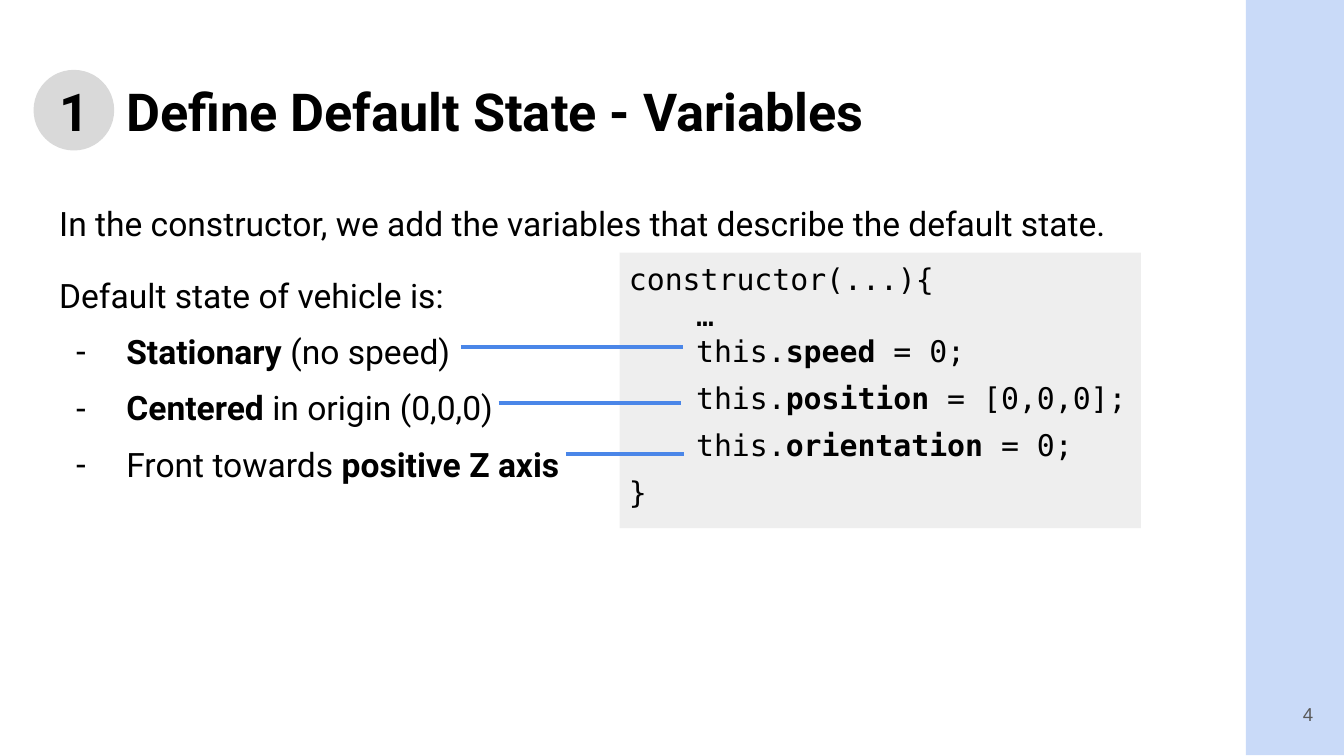
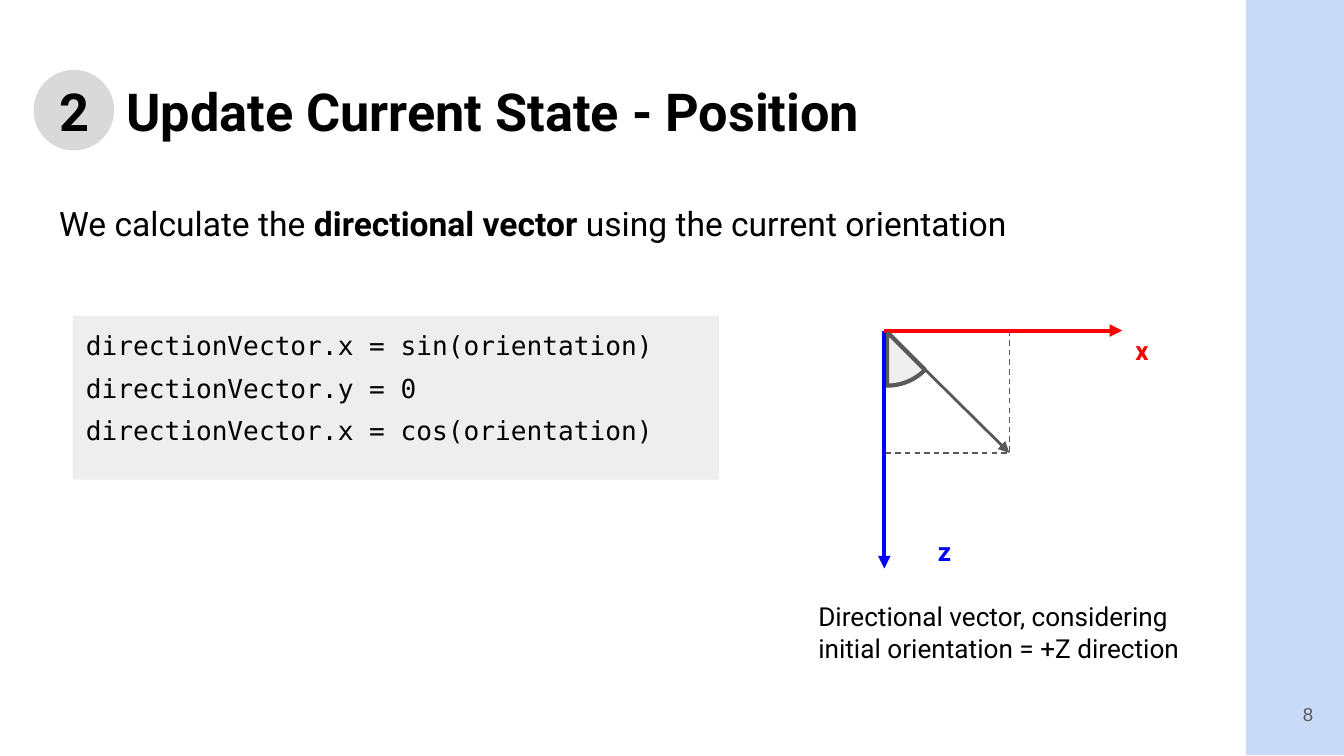
import dataclasses

import lxml.etree
import pptx
import pptx.dml.color
import pptx.enum.dml
import pptx.enum.shapes
import pptx.enum.text
import pptx.oxml
import pptx.oxml.ns
import pptx.util

Inches = pptx.util.Inches
Points = pptx.util.Pt
qualified = pptx.oxml.ns.qn
Shapes = pptx.enum.shapes.MSO_SHAPE
Align = pptx.enum.text.PP_ALIGN
Anchor = pptx.enum.text.MSO_ANCHOR


@dataclasses.dataclass(frozen=True)
class Theme:
    """Colours, fonts and type sizes shared by every slide."""
    black: str = "000000"
    gray: str = "595959"
    badge: str = "D9D9D9"
    panel: str = "EEEEEE"
    band: str = "C9DAF8"
    link: str = "4A86E8"
    x_axis: str = "FF0000"
    z_axis: str = "0000FF"
    text_font: str = "Roboto"
    code_font: str = "DejaVu Sans Mono"
    number_font: str = "Arial"
    title_size: int = 28
    body_size: int = 18
    code_size: int = 16
    small_size: int = 14
    number_size: int = 10


@dataclasses.dataclass(frozen=True)
class Box:
    """A rectangle in inches."""
    left: float
    top: float
    width: float
    height: float

    def lengths(self):
        """Return the four sides as slide lengths."""
        return [Inches(side) for side in dataclasses.astuple(self)]

    def inner(self, left, top, width, height):
        """Return a box placed relative to this one."""
        return Box(self.left + left, self.top + top, width, height)


@dataclasses.dataclass(frozen=True)
class Line:
    """One paragraph, with bold parts between double asterisks."""
    text: str
    before: float = 0
    after: float = 0
    spacing: float = 1.0
    margin: float = 0
    bullet: str = ""
    tab: float = 0


THEME = Theme()
TITLE_BOX = Box(0.34, 0.49, 9.32, 0.63)
BAND_BOX = Box(9.27, -0.02, 0.73, 5.64)


def color(value):
    """Turn a hex string into a colour."""
    return pptx.dml.color.RGBColor.from_string(value)


def apply(target, values):
    """Set each attribute named in a dict."""
    for name, value in values.items():
        setattr(target, name, value)


def font_format(size, name=THEME.text_font, bold=False):
    """Describe a font as a dict of format values."""
    return {"size": Points(size), "name": name, "bold": bold}


def set_indent(paragraph, line):
    """Give a paragraph its indent, bullet and tab stop."""
    properties = paragraph._p.get_or_add_pPr()
    properties.set("marL", str(Inches(line.margin)))
    properties.set("indent", str(Inches(-0.38 if line.bullet else 0)))
    if line.bullet:
        bullet_color = lxml.etree.SubElement(properties, qualified("a:buClr"))
        lxml.etree.SubElement(bullet_color, qualified("a:srgbClr"), val=THEME.black)
        lxml.etree.SubElement(properties, qualified("a:buChar"), char=line.bullet)
    else:
        lxml.etree.SubElement(properties, qualified("a:buNone"))
    if line.tab:
        stops = lxml.etree.SubElement(properties, qualified("a:tabLst"))
        lxml.etree.SubElement(stops, qualified("a:tab"), pos=str(Inches(line.tab)), algn="l")


def fill_text(shape, lines, font, ink=THEME.black, align=Align.LEFT, anchor=Anchor.TOP):
    """Write formatted lines into a shape."""
    frame = shape.text_frame
    apply(frame, {
        "word_wrap": True, "auto_size": pptx.enum.text.MSO_AUTO_SIZE.NONE,
        "vertical_anchor": anchor,
        **{f"margin_{side}": Inches(0.1) for side in ("left", "top", "right", "bottom")},
    })
    for index, line in enumerate(lines):
        paragraph = frame.add_paragraph() if index else frame.paragraphs[0]
        apply(paragraph, {
            "alignment": align, "line_spacing": line.spacing,
            "space_before": Points(line.before), "space_after": Points(line.after),
        })
        set_indent(paragraph, line)
        for part, text in enumerate(line.text.split("**")):
            if text:
                run = paragraph.add_run()
                run.text = text
                apply(run.font, {**font, "bold": font["bold"] or part % 2 == 1})
                run.font.color.rgb = color(ink)


def place_placeholder(slide, index, box, lines, font):
    """Move a placeholder to the front of its box and fill it."""
    placeholder = slide.placeholders[index]
    slide.shapes.element.append(placeholder.element)
    apply(placeholder, dict(zip(("left", "top", "width", "height"), box.lengths())))
    fill_text(placeholder, lines, font)


def add_label(slide, box, lines, font, **options):
    """Add a text box."""
    fill_text(slide.shapes.add_textbox(*box.lengths()), lines, font, **options)


def add_block(shapes, kind, box, fill):
    """Add a plain filled shape without outline."""
    shape = shapes.add_shape(kind, *box.lengths())
    shape.shadow.inherit = False
    shape.fill.solid()
    shape.fill.fore_color.rgb = color(fill)
    shape.line.fill.background()
    return shape


def add_line(shapes, start, end, ink, width, arrow=False, dashed=False):
    """Add a straight line, with an arrowhead or dashes if asked."""
    connector = shapes.add_connector(
        pptx.enum.shapes.MSO_CONNECTOR.STRAIGHT,
        *[Inches(value) for value in (*start, *end)])
    connector.line.color.rgb = color(ink)
    connector.line.width = Points(width)
    if dashed:
        connector.line.dash_style = pptx.enum.dml.MSO_LINE.DASH
    if arrow:
        outline = connector.line._get_or_add_ln()
        lxml.etree.SubElement(outline, qualified("a:tailEnd"), type="triangle")
    lxml.etree.SubElement(connector._element.spPr, qualified("a:effectLst"))


def add_band(presentation, slide):
    """Put the side band on the slide master."""
    band = add_block(slide.shapes, Shapes.RECTANGLE, BAND_BOX, THEME.band)
    presentation.slide_master.shapes.element.insert(2, band.element)


def add_step_slide(presentation, layout_index, step, title, body_box, body, number):
    """Add a slide with step badge, title, body text and page number."""
    slide = presentation.slides.add_slide(presentation.slide_layouts[layout_index])
    add_block(slide.shapes, Shapes.OVAL, TITLE_BOX.inner(-0.09, 0.03, 0.6, 0.6), THEME.badge)
    place_placeholder(slide, 0, TITLE_BOX, [Line(f"{step}\t{title}", tab=1)],
                      font_format(THEME.title_size, bold=True))
    place_placeholder(slide, 1, body_box, body, font_format(THEME.body_size))
    add_label(slide, BAND_BOX.inner(0, 5.12, 0.6, 0.43), [Line(str(number))],
              font_format(THEME.number_size, THEME.number_font),
              ink=THEME.gray, align=Align.RIGHT, anchor=Anchor.MIDDLE)
    return slide


def add_constructor(slide, box):
    """Show the constructor code on a panel."""
    add_block(slide.shapes, Shapes.RECTANGLE, box, THEME.panel)
    lines = [
        Line("constructor(...){"),
        Line("…", margin=0.5),
        Line("this.**speed** = 0;", margin=0.5),
        Line("this.**position** = [0,0,0];", before=6, margin=0.5),
        Line("this.**orientation** = 0;", before=6, margin=0.5),
        Line("}", before=6, after=6),
    ]
    place_placeholder(slide, 2, box.inner(-0.03, -0.04, 3.94, 2.05), lines,
                      font_format(THEME.code_size, THEME.code_font))


def add_links(slide, box):
    """Link each listed state to its line of code, around the panel box."""
    for start, end, drop in ((-1.18, 0.47, 0.7), (-0.9, 0.46, 1.12), (-0.4, 0.48, 1.5)):
        height = box.top + drop
        add_line(slide.shapes, (box.left + start, height), (box.left + end, height),
                 THEME.link, 2.25)


def add_vector_code(slide, box):
    """Show the direction vector code on a panel."""
    add_block(slide.shapes, Shapes.RECTANGLE, box, THEME.panel)
    lines = [
        Line("directionVector.x = sin(orientation)"),
        Line("directionVector.y = 0", before=6),
        Line("directionVector.x = cos(orientation)", before=6, after=6),
    ]
    add_label(slide, box.inner(0, 0, 6.19, 1.12), lines,
              font_format(THEME.small_size, THEME.code_font))


def add_vector_diagram(slide, box):
    """Draw the axes, the vector and its angle from the box corner."""
    shapes = slide.shapes.add_group_shape().shapes
    angle = add_block(shapes, Shapes.PIE, box.inner(-0.38, -0.39, 0.8, 0.8), THEME.panel)
    angle.adjustments[0] = 0
    angle.adjustments[1] = 26.998
    angle.rotation = 270
    angle.element.spPr.find(qualified("a:xfrm")).set("flipH", "1")
    angle.line.color.rgb = color(THEME.gray)
    angle.line.width = Points(2.25)

    def draw(start, end, ink, width, **style):
        """Add a line between two points relative to the corner."""
        add_line(shapes, (box.left + start[0], box.top + start[1]),
                 (box.left + end[0], box.top + end[1]), ink, width, **style)

    draw((0, 0), (0, box.height), THEME.z_axis, 2.25, arrow=True)
    draw((0, 0), (box.width, 0), THEME.x_axis, 2.25, arrow=True)
    draw((0.02, 0.01), (0.93, 0.91), THEME.gray, 1.5, arrow=True)
    draw((0.01, 0.91), (0.94, 0.91), THEME.gray, 0.75, dashed=True)
    draw((0.93, 0.9), (0.93, 0), THEME.gray, 0.75, dashed=True)


def add_diagram_labels(slide, box):
    """Name the axes and caption the diagram, relative to its box."""
    axis_font = font_format(THEME.small_size, bold=True)
    add_label(slide, box.inner(0.3, 1.42, 0.32, 0.35), [Line("z")], axis_font, ink=THEME.z_axis)
    add_label(slide, box.inner(1.77, -0.07, 0.32, 0.33), [Line("x")], axis_font, ink=THEME.x_axis)
    caption = "Directional vector, considering initial orientation = +Z direction"
    add_label(slide, box.inner(-0.59, 1.91, 3, 0.73), [Line(caption)],
              font_format(THEME.small_size))


def build_default_state(presentation):
    """Build the slide about the default state."""
    item = {"before": 6, "spacing": 1.12, "margin": 0.5, "bullet": "-"}
    body = [
        Line("In the constructor, we add the variables that describe the default state.",
             spacing=1.5),
        Line("Default state of vehicle is:", before=6, spacing=1.5),
        Line("**Stationary **(no speed) ", **item),
        Line("**Centered **in origin (0,0,0)", **item),
        Line("Front towards **positive Z axis**", after=6, **item),
    ]
    slide = add_step_slide(presentation, 3, 1, "Define Default State - Variables",
                           Box(0.34, 1.26, 8.92, 2.49), body, 4)
    panel = Box(4.61, 1.88, 3.88, 2.05)
    add_constructor(slide, panel)
    add_links(slide, panel)
    return slide


def build_position(presentation):
    """Build the slide about the position update."""
    body = [Line("We calculate the **directional vector** using the current orientation",
                 after=16, spacing=1.5)]
    slide = add_step_slide(presentation, 1, 2, "Update Current State - Position",
                           Box(0.34, 1.26, 8.92, 1.08), body, 8)
    diagram = Box(6.58, 2.46, 1.77, 1.77)
    add_vector_diagram(slide, diagram)
    add_vector_code(slide, Box(0.54, 2.35, 4.81, 1.22))
    add_diagram_labels(slide, diagram)


def main():
    """Build and save the presentation."""
    presentation = pptx.Presentation()
    apply(presentation, {"slide_width": Inches(10), "slide_height": Inches(10 * 9 / 16)})
    add_band(presentation, build_default_state(presentation))
    build_position(presentation)
    presentation.save("out.pptx")


main()
